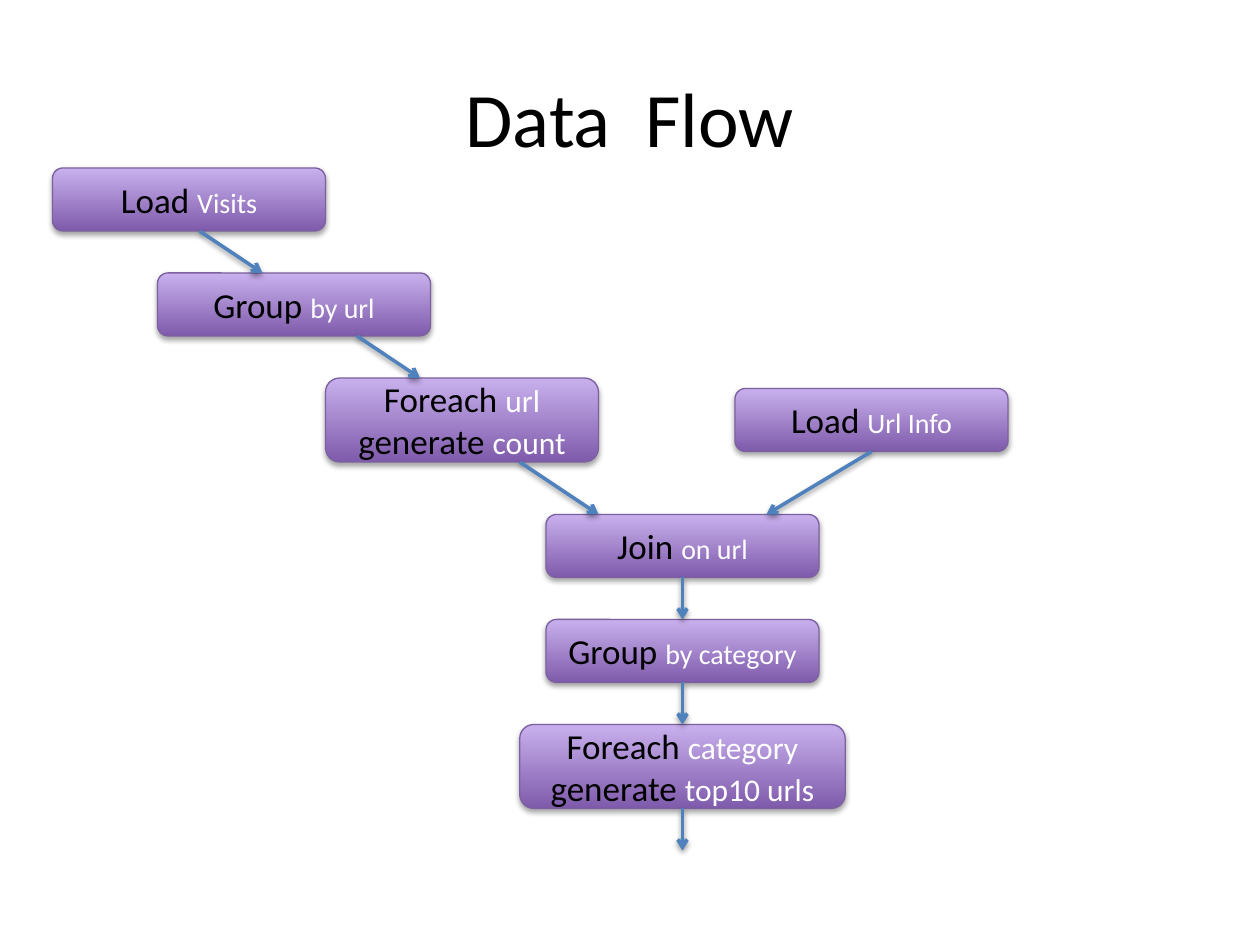
from lxml.etree import SubElement
from pptx import Presentation
from pptx.dml.color import RGBColor
from pptx.enum.shapes import MSO_CONNECTOR, MSO_SHAPE
from pptx.enum.text import MSO_ANCHOR, PP_ALIGN
from pptx.oxml.ns import qn
from pptx.util import Pt

BLACK = RGBColor(0x00, 0x00, 0x00)
WHITE = RGBColor(0xFF, 0xFF, 0xFF)
DARK_PURPLE = RGBColor(0x7F, 0x5B, 0xAB)
LIGHT_PURPLE = RGBColor(0xC8, 0xB0, 0xED)
OUTLINE = RGBColor(0x7D, 0x60, 0xA0)
ARROW_BLUE = RGBColor(0x4F, 0x81, 0xBD)
FONT = "Calibri"
TOP, BOTTOM = 0, 2


def add_span(para, text, size, color):
    span = para.add_run()
    span.text = text
    span.font.name = FONT
    span.font.size = Pt(size)
    span.font.color.rgb = color


def add_shadow(effects, distance, opacity):
    """Fill an a:effectLst with a soft black shadow that falls straight down."""
    shadow = SubElement(effects, qn("a:outerShdw"), blurRad=str(Pt(3.1)),
                        dist=str(Pt(distance)), dir="5400000", rotWithShape="0")
    color = SubElement(shadow, qn("a:srgbClr"), val=str(BLACK))
    SubElement(color, qn("a:alpha"), val=str(opacity * 1000))


deck = Presentation()
deck.slide_width, deck.slide_height = Pt(720), Pt(540)
page = deck.slides.add_slide(deck.slide_layouts[6])

title = page.shapes.add_textbox(Pt(36), Pt(21.6), Pt(648), Pt(90)).text_frame
title.word_wrap = True
title.vertical_anchor = MSO_ANCHOR.MIDDLE
title.paragraphs[0].alignment = PP_ALIGN.CENTER
add_span(title.paragraphs[0], "Data  Flow", 44, BLACK)

# name: left, top, width, lines of (operator, operand)
STEPS = {
    "load visits": (30, 96, 156, [("Load ", "Visits")]),
    "group by url": (90, 156, 156, [("Group ", "by url")]),
    "count": (186, 216, 156, [("Foreach ", "url"), ("generate ", "count")]),
    "load url info": (420, 222, 156, [("Load ", "Url Info")]),
    "join": (312, 294, 156, [("Join ", "on url")]),
    "group by category": (312, 354, 156, [("Group ", "by category")]),
    "top10": (297, 414, 186, [("Foreach ", "category"), ("generate ", "top10 urls")]),
}
boxes = {}
for name, (left, top, width, lines) in STEPS.items():
    height, operand_size = (36, 16) if len(lines) == 1 else (48, 18)
    box = page.shapes.add_shape(MSO_SHAPE.ROUNDED_RECTANGLE,
                                Pt(left), Pt(top), Pt(width), Pt(height))
    boxes[name] = box
    box.fill.gradient()
    box.fill.gradient_angle = 90
    for stop, color in zip(box.fill.gradient_stops, (DARK_PURPLE, LIGHT_PURPLE)):
        stop.color.rgb = color
    box.line.color.rgb = OUTLINE
    box.line.width = Pt(0.75)
    box.shadow.inherit = False
    add_shadow(box._element.spPr.find(qn("a:effectLst")), 1.8, 35)

    frame = box.text_frame
    frame.word_wrap = True
    frame.vertical_anchor = MSO_ANCHOR.MIDDLE
    for index, (operator, operand) in enumerate(lines):
        para = frame.add_paragraph() if index else frame.paragraphs[0]
        para.alignment = PP_ALIGN.CENTER
        add_span(para, operator, 20, BLACK)
        add_span(para, operand, operand_size, WHITE)

# start, end, box joined at the start, box joined at the end
ARROWS = [
    ((114, 132), (150, 156), None, None),
    ((204, 192), (240, 216), None, None),
    ((297, 264), (342, 294), None, None),
    ((498, 258), (438, 294), "load url info", None),
    ((390, 330), (390, 354), "join", "group by category"),
    ((390, 390), (390, 414), "group by category", "top10"),
    ((390, 462), (390, 486), "top10", None),
]
for start, end, source, target in ARROWS:
    arrow = page.shapes.add_connector(MSO_CONNECTOR.STRAIGHT,
                                      *map(Pt, start), *map(Pt, end))
    if source:
        arrow.begin_connect(boxes[source], BOTTOM)
    if target:
        arrow.end_connect(boxes[target], TOP)
    arrow.line.color.rgb = ARROW_BLUE
    arrow.line.width = Pt(2)
    SubElement(arrow.line._get_or_add_ln(), qn("a:tailEnd"), type="arrow")
    add_shadow(SubElement(arrow._element.spPr, qn("a:effectLst")), 1.6, 38)

deck.save("out.pptx")
